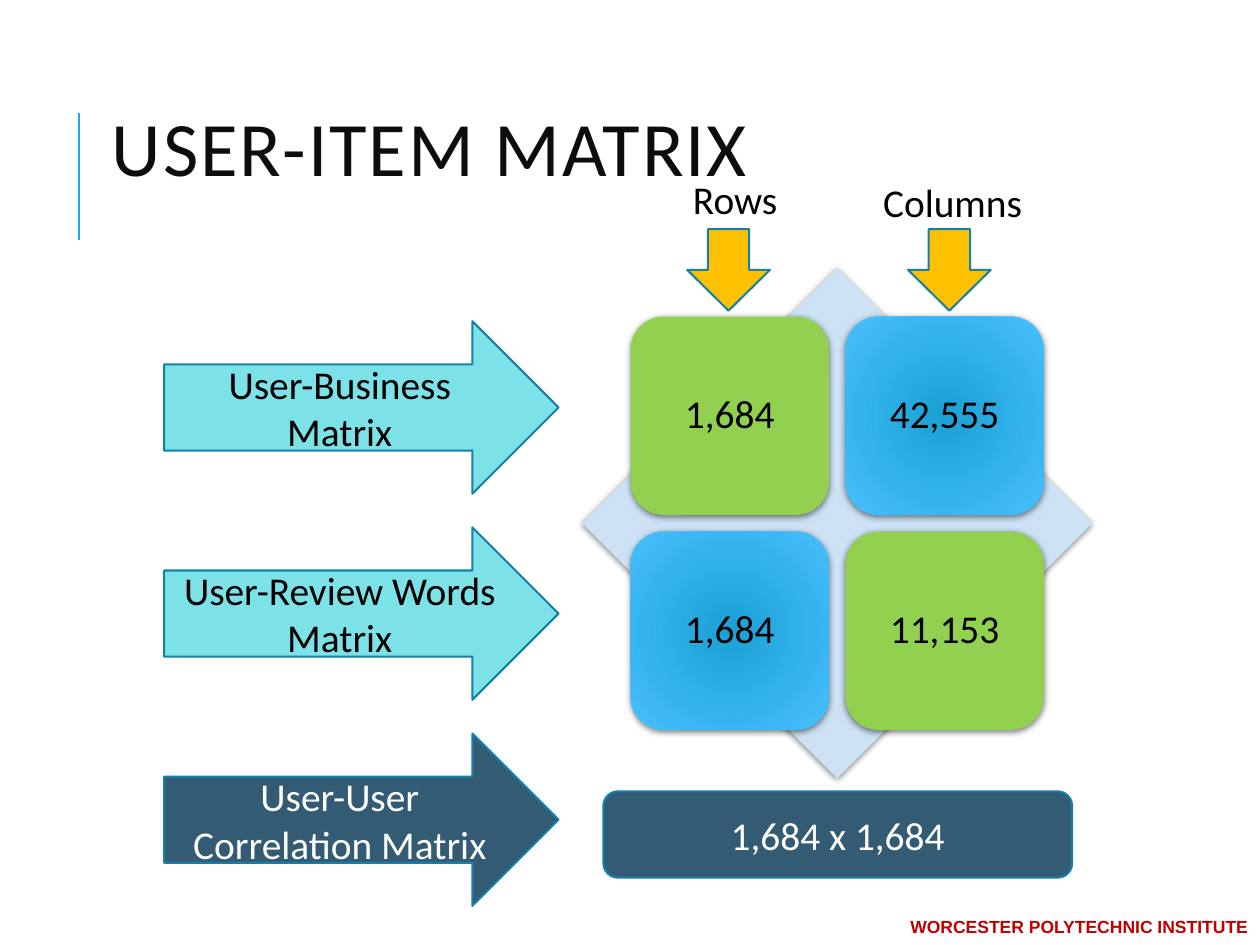
"""Build the user-item matrix slide."""
from dataclasses import dataclass
from typing import NamedTuple, Optional

import lxml.etree
import pptx
import pptx.dml.color
import pptx.enum.shapes
import pptx.enum.text
import pptx.oxml.ns
import pptx.util

Inches = pptx.util.Inches
ShapeType = pptx.enum.shapes.MSO_SHAPE
Align = pptx.enum.text.PP_ALIGN
Anchor = pptx.enum.text.MSO_ANCHOR


@dataclass(frozen=True)
class Theme:
    font: str = "Calibri"
    footer_font: str = "Arial"
    title_size: float = 46.9
    body_size: float = 24
    footer_size: float = 10.7
    outline_width: float = 1.25
    rule_width: float = 1.5
    black: str = "000000"
    white: str = "FFFFFF"
    title: str = "0D0D0D"
    footer: str = "C00000"
    rule: str = "1CADE4"
    outline: str = "1580A9"
    diamond: str = "CDE3F5"
    green: str = "92D050"
    blue_center: str = "1AA1D4"
    blue_edge: str = "48BFFF"
    cyan: str = "7DE2E7"
    navy: str = "335B74"
    amber: str = "FFC000"


THEME = Theme()


class Box(NamedTuple):
    left: float
    top: float
    width: float
    height: float


class MatrixRow(NamedTuple):
    label: str
    fill: str
    color: str


class ColumnHeading(NamedTuple):
    label: str
    box: Box
    arrow_left: float


MATRIX_ROWS = (
    MatrixRow("User-Business Matrix", THEME.cyan, THEME.black),
    MatrixRow("User-Review Words Matrix", THEME.cyan, THEME.black),
    MatrixRow("User-User Correlation Matrix", THEME.navy, THEME.white),
)
HEADINGS = (
    ColumnHeading("Rows", Box(5.77, 1.43, 0.94, 0.5), 5.82),
    ColumnHeading("Columns", Box(7.38, 1.46, 1.4, 0.5), 7.69),
)
DIMENSIONS = (("1,684", "42,555"), ("1,684", "11,153"))
ROW_BOX = Box(1.39, 2.72, 3.34, 1.46)
ROW_PITCH = 1.745
TILE_BOX = Box(5.34, 2.68, 1.68, 1.68)
TILE_PITCH = 1.82


def rgb(value: str) -> pptx.dml.color.RGBColor:
    return pptx.dml.color.RGBColor.from_string(value)


def place(box: Box) -> tuple:
    return tuple(Inches(length) for length in box)


def add_child(parent, tag: str, **attributes: str):
    return lxml.etree.SubElement(parent, pptx.oxml.ns.qn(tag), attributes)


def write_text(shape, text: str, *, size: float = THEME.body_size, font: str = THEME.font,
               color: str = THEME.black, bold: bool = False, align=Align.CENTER,
               anchor=Anchor.MIDDLE, wrap: bool = True, line_spacing: Optional[float] = None,
               tracking: Optional[int] = None) -> None:
    frame = shape.text_frame
    frame.word_wrap = wrap
    frame.vertical_anchor = anchor
    paragraph = frame.paragraphs[0]
    paragraph.alignment = align
    if line_spacing is not None:
        paragraph.line_spacing = line_spacing
    run = paragraph.add_run()
    run.text = text
    run.font.name = font
    run.font.size = pptx.util.Pt(size)
    run.font.bold = bold
    run.font.color.rgb = rgb(color)
    if tracking is not None:
        run.font._element.set("spc", str(tracking))


def add_text_box(slide, box: Box, text: str, **text_format) -> None:
    write_text(slide.shapes.add_textbox(*place(box)), text, **text_format)


def add_block(slide, kind, box: Box, fill: str, outline: Optional[str] = None):
    shape = slide.shapes.add_shape(kind, *place(box))
    shape.shadow.inherit = False
    shape.fill.solid()
    shape.fill.fore_color.rgb = rgb(fill)
    if outline:
        shape.line.color.rgb = rgb(outline)
        shape.line.width = pptx.util.Pt(THEME.outline_width)
    else:
        shape.line.fill.background()
    return shape


def add_shadow(shape) -> None:
    effects = shape._element.spPr.find(pptx.oxml.ns.qn("a:effectLst"))
    shadow = add_child(effects, "a:outerShdw", blurRad=str(pptx.util.Pt(4)),
                       dist=str(pptx.util.Pt(1)), dir="5400000", rotWithShape="0")
    color = add_child(shadow, "a:srgbClr", val=THEME.black)
    add_child(color, "a:alpha", val="50000")


def apply_radial_fill(shape) -> None:
    shape.fill.gradient()
    for stop, color in zip(shape.fill.gradient_stops, (THEME.blue_center, THEME.blue_edge)):
        stop.color.rgb = rgb(color)
    gradient = shape._element.spPr.find(pptx.oxml.ns.qn("a:gradFill"))
    gradient.remove(gradient.find(pptx.oxml.ns.qn("a:lin")))
    circle = add_child(gradient, "a:path", path="circle")
    add_child(circle, "a:fillToRect", **dict.fromkeys("ltrb", "100000"))


def add_title_rule(slide) -> None:
    rule = slide.shapes.add_connector(pptx.enum.shapes.MSO_CONNECTOR.STRAIGHT,
                                      Inches(0.67), Inches(2.03), Inches(0.67), Inches(0.96))
    rule.line.color.rgb = rgb(THEME.rule)
    rule.line.width = pptx.util.Pt(THEME.rule_width)
    add_child(rule._element.spPr, "a:effectLst")


def add_tiles(slide) -> None:
    add_shadow(add_block(slide, ShapeType.DIAMOND, Box(4.93, 2.27, 4.32, 4.32), THEME.diamond))
    for row, values in enumerate(DIMENSIONS):
        for column, value in enumerate(values):
            box = TILE_BOX._replace(left=TILE_BOX.left + column * TILE_PITCH,
                                    top=TILE_BOX.top + row * TILE_PITCH)
            tile = add_block(slide, ShapeType.ROUNDED_RECTANGLE, box, THEME.green)
            if row != column:
                apply_radial_fill(tile)
            add_shadow(tile)
            write_text(tile, value, line_spacing=0.9)


def main() -> None:
    presentation = pptx.Presentation()
    presentation.slide_width = Inches(10.67)
    presentation.slide_height = Inches(8)
    slide = presentation.slides.add_slide(presentation.slide_layouts[6])
    add_title_rule(slide)
    add_text_box(slide, Box(0.85, 0.43, 8.5, 1.75), "USER-ITEM MATRIX", size=THEME.title_size,
                 color=THEME.title, align=Align.LEFT, line_spacing=0.8, tracking=110)
    add_tiles(slide)
    for index, row in enumerate(MATRIX_ROWS):
        box = ROW_BOX._replace(top=ROW_BOX.top + index * ROW_PITCH)
        arrow = add_block(slide, ShapeType.RIGHT_ARROW, box, row.fill, THEME.outline)
        write_text(arrow, row.label, color=row.color)
    for heading in HEADINGS:
        add_block(slide, ShapeType.DOWN_ARROW, Box(heading.arrow_left, 1.94, 0.7, 0.69),
                  THEME.amber, THEME.outline)
        add_text_box(slide, heading.box, heading.label, align=Align.LEFT,
                     anchor=Anchor.TOP, wrap=False)
    result = add_block(slide, ShapeType.ROUNDED_RECTANGLE, Box(5.11, 6.7, 3.97, 0.73),
                       THEME.navy, THEME.outline)
    write_text(result, "1,684 x 1,684", color=THEME.white)
    add_text_box(slide, Box(0, 7.68, 10.67, 0.32), "WORCESTER POLYTECHNIC INSTITUTE",
                 size=THEME.footer_size, font=THEME.footer_font, color=THEME.footer,
                 bold=True, align=Align.RIGHT)
    presentation.save("out.pptx")


if __name__ == "__main__":
    main()
